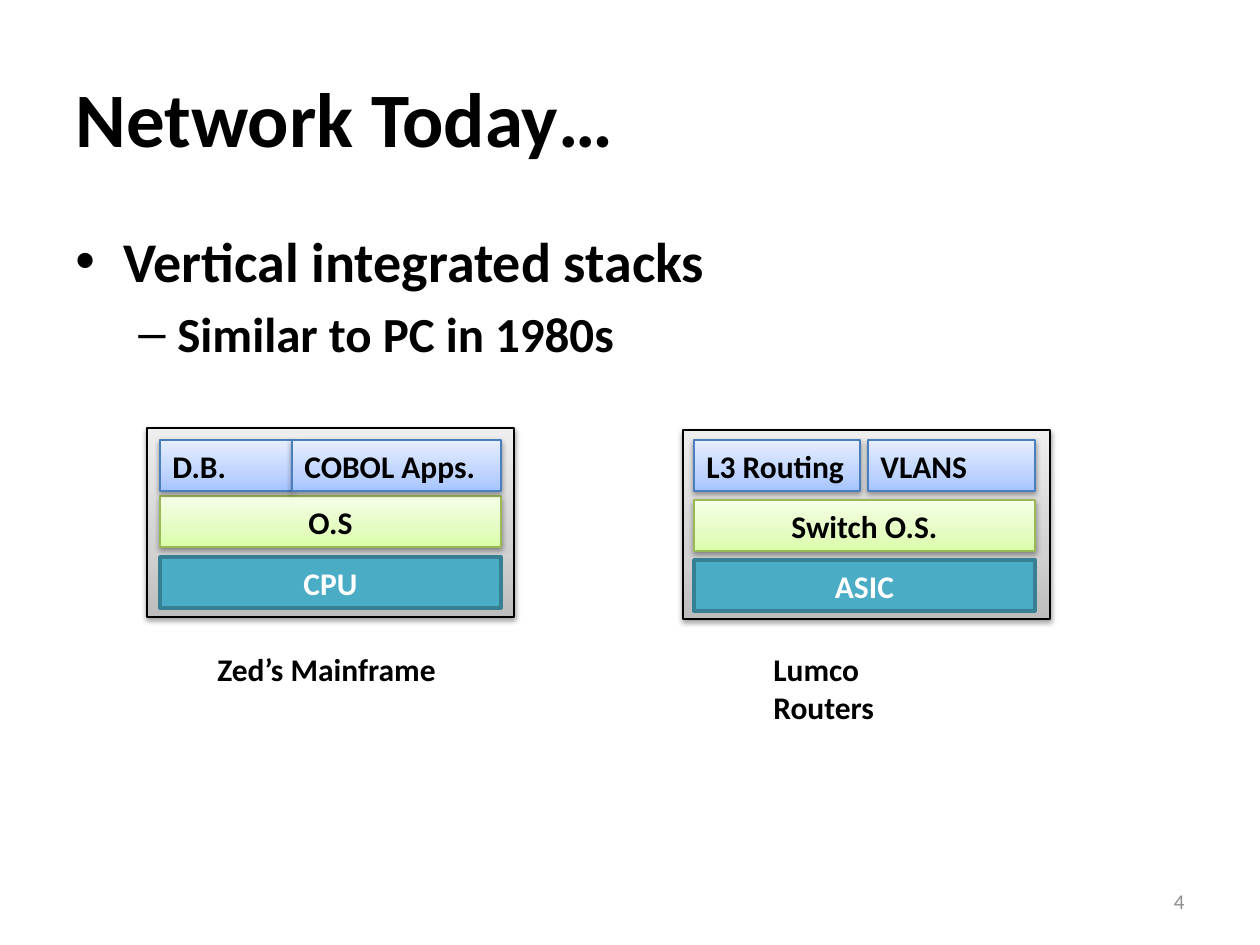
"""Build the slide comparing vertically integrated mainframe and router stacks."""
from copy import deepcopy

from lxml import etree
from pptx import Presentation
from pptx import util as u
from pptx.dml.color import RGBColor
from pptx.enum import shapes, text
from pptx.oxml.ns import qn

EMU_PER_PX = 914400 / 126
FONT = "Calibri"
BLACK, WHITE, GREY = "000000", "FFFFFF", "8C8C8C"
LEFT, CENTER, RIGHT = text.PP_ALIGN.LEFT, text.PP_ALIGN.CENTER, text.PP_ALIGN.RIGHT

TITLE = "Network Today…"
BULLETS = [
    ("Vertical integrated stacks", 32, "•", 48, -48),
    ("Similar to PC in 1980s", 28, "–", 102, -39),
]
PAGE_NUMBER = "4"

STYLES = {
    "case": (["BDBDBD", "D1D1D1", "EEEEEE"], BLACK, 0.75, BLACK, LEFT),
    "application": (["A4C4FF", "BFD4FF", "E6EEFF"], "4B7EBC", 0.75, BLACK, LEFT),
    "system": (["DAFDA7", "E4FCC2", "F5FFE7"], "98B955", 0.75, BLACK, CENTER),
    "chip": (["4BACC6"], "377F92", 2, WHITE, CENTER),
}
STOP_POSITIONS = [0, 0.35, 1]

CASE_WIDTH, CASE_HEIGHT = 367, 189
BAND_WIDTH, BAND_HEIGHT = 341, 51
STACKS = [
    {
        "case": (147, 428), "band_left": 160, "rows": (440, 496, 557), "gap": 0,
        "applications": [("D.B.", 132), ("COBOL Apps.", 209)],
        "system": "O.S", "chip": "CPU",
        "caption": ("Zed’s Mainframe", 205, 252),
    },
    {
        "case": (683, 430), "band_left": 694, "rows": (440, 500, 560), "gap": 8,
        "applications": [("L3 Routing", 166), ("VLANS", 167)],
        "system": "Switch O.S.", "chip": "ASIC",
        "caption": ("Lumco Routers", 761, 200),
    },
]
CAPTION_TOP = 644


def px(value):
    return u.Emu(round(value * EMU_PER_PX))


def box(*lengths):
    return [px(length) for length in lengths]


def color(value):
    return RGBColor.from_string(value)


def add_run(paragraph, words, size, ink=BLACK, bold=True, align=LEFT):
    paragraph.alignment = align
    run = paragraph.add_run()
    run.text = words
    run.font.name, run.font.size, run.font.bold = FONT, u.Pt(size), bold
    run.font.color.rgb = color(ink)


def add_text_box(slide, bounds, wrap=True, anchor=text.MSO_ANCHOR.TOP):
    frame = slide.shapes.add_textbox(*box(*bounds)).text_frame
    frame.word_wrap = wrap
    frame.vertical_anchor = anchor
    return frame


def add_bullet(paragraph, symbol, margin, indent):
    properties = paragraph._p.get_or_add_pPr()
    properties.set("marL", str(px(margin)))
    properties.set("indent", str(px(indent)))
    etree.SubElement(properties, qn("a:buFont"), typeface="Arial")
    etree.SubElement(properties, qn("a:buChar"), char=symbol)


def fill_gradient(shape, colors):
    shape.fill.gradient()
    shape.fill.gradient_angle = 90
    stop_list = shape._element.spPr.find(".//" + qn("a:gsLst"))
    stop_list.insert(1, deepcopy(stop_list[0]))
    for stop, position, value in zip(shape.fill.gradient_stops, STOP_POSITIONS, colors):
        stop.position = position
        stop.color.rgb = color(value)


def add_shadow(shape):
    effects = shape._element.spPr.find(qn("a:effectLst"))
    shadow = etree.SubElement(effects, qn("a:outerShdw"), blurRad="40000", dist="20000",
                              dir="5400000", rotWithShape="0")
    ink = etree.SubElement(shadow, qn("a:srgbClr"), val=BLACK)
    etree.SubElement(ink, qn("a:alpha"), val="38000")


def add_block(group, style, bounds, words=""):
    colors, line, weight, ink, align = STYLES[style]
    shape = group.shapes.add_shape(shapes.MSO_SHAPE.RECTANGLE, *box(*bounds))
    shape.shadow.inherit = False
    if len(colors) > 1:
        fill_gradient(shape, colors)
        add_shadow(shape)
    else:
        shape.fill.solid()
        shape.fill.fore_color.rgb = color(colors[0])
    shape.line.color.rgb = color(line)
    shape.line.width = u.Pt(weight)
    if words:
        add_run(shape.text_frame.paragraphs[0], words, 18, ink, align=align)


def add_stack(slide, stack):
    group = slide.shapes.add_group_shape()
    add_block(group, "case", (*stack["case"], CASE_WIDTH, CASE_HEIGHT))
    application_top, system_top, chip_top = stack["rows"]
    left = stack["band_left"]
    for style, top in (("system", system_top), ("chip", chip_top)):
        add_block(group, style, (left, top, BAND_WIDTH, BAND_HEIGHT), stack[style])
    for words, width in stack["applications"]:
        add_block(group, "application", (left, application_top, width, BAND_HEIGHT), words)
        left += width + stack["gap"]
    words, left, width = stack["caption"]
    caption = add_text_box(slide, (left, CAPTION_TOP, width, BAND_HEIGHT), wrap=False)
    add_run(caption.paragraphs[0], words, 18)


def main():
    presentation = Presentation()
    presentation.slide_width, presentation.slide_height = box(1260, 945)
    slide = presentation.slides.add_slide(presentation.slide_layouts[5])

    title = slide.shapes.title
    title.left, title.top, title.width, title.height = box(63, 38, 1134, 157)
    title.text_frame.vertical_anchor = text.MSO_ANCHOR.MIDDLE
    add_run(title.text_frame.paragraphs[0], TITLE, 44)

    body = add_text_box(slide, (63, 220, 1134, 180))
    for index, (words, size, *bullet) in enumerate(BULLETS):
        paragraph = body.add_paragraph() if index else body.paragraphs[0]
        paragraph.level = index
        paragraph.space_before = u.Pt(size * 0.2)
        add_run(paragraph, words, size)
        add_bullet(paragraph, *bullet)

    for stack in STACKS:
        add_stack(slide, stack)

    number = add_text_box(slide, (903, 876, 294, 50), anchor=text.MSO_ANCHOR.MIDDLE)
    add_run(number.paragraphs[0], PAGE_NUMBER, 12, GREY, False, RIGHT)
    presentation.save("out.pptx")


if __name__ == "__main__":
    main()
